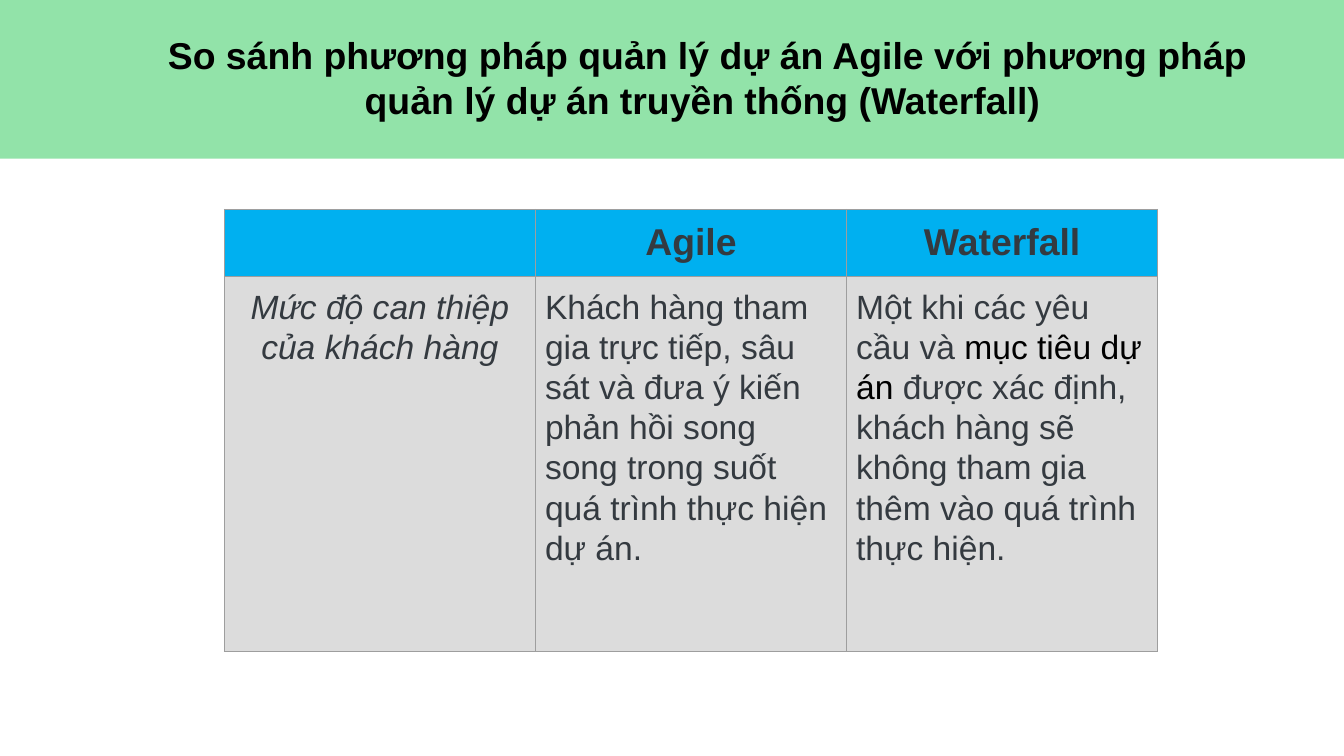
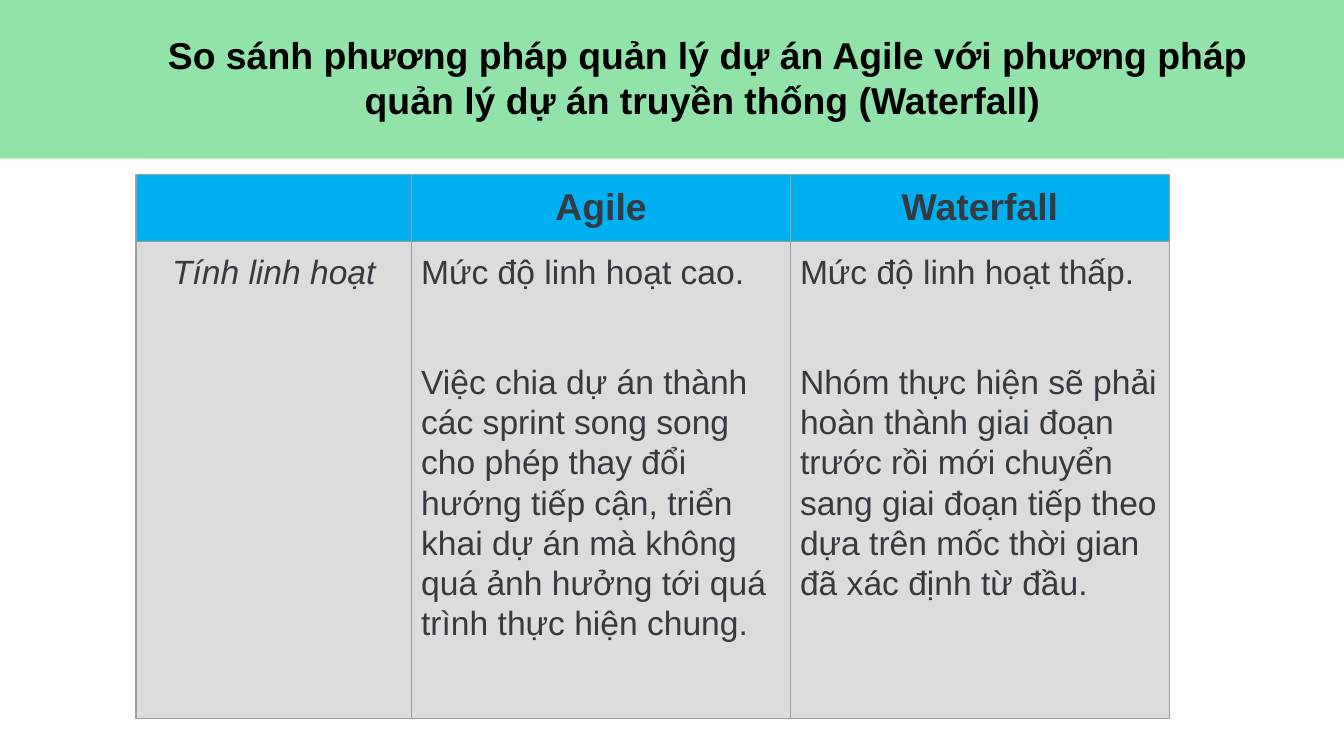
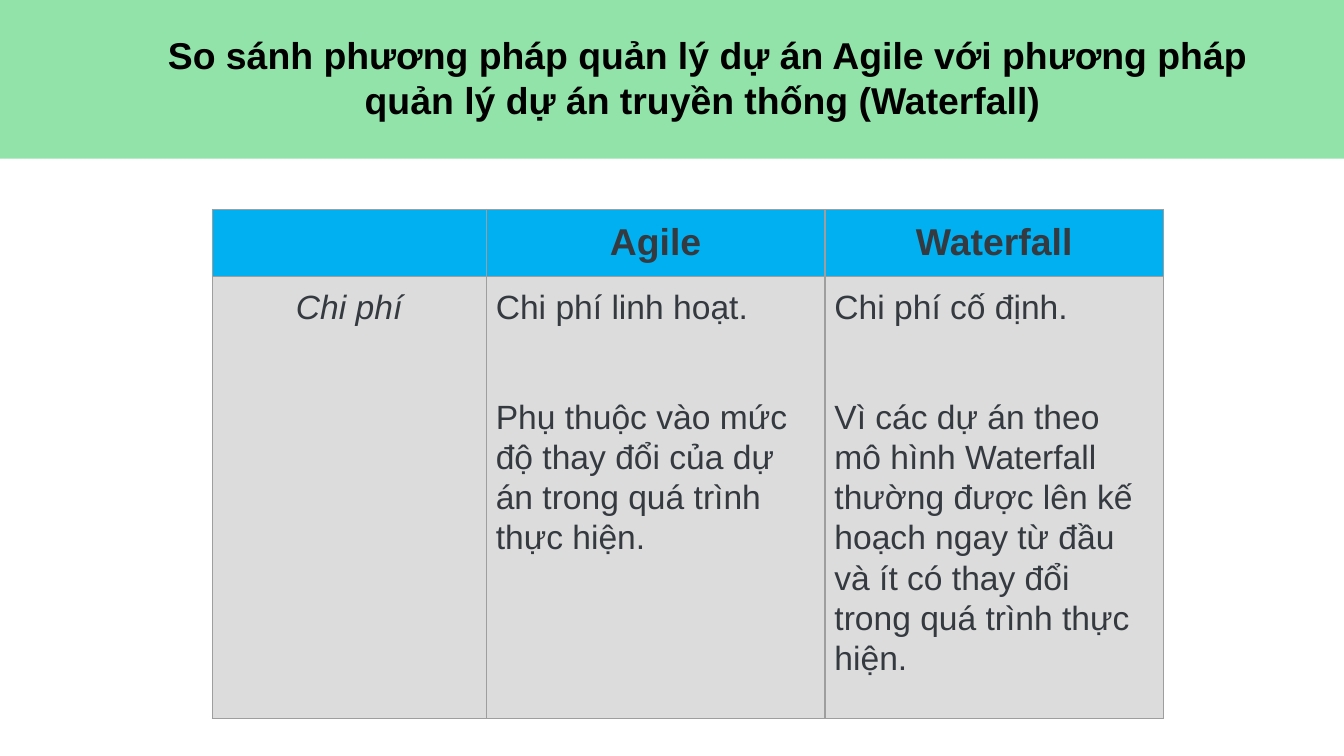
import itertools

import pptx
import pptx.dml.color
import pptx.enum.shapes
import pptx.enum.text
import pptx.oxml
import pptx.oxml.ns
import pptx.util

Cm = pptx.util.Cm
Pt = pptx.util.Pt
RGBColor = pptx.dml.color.RGBColor
PP_ALIGN = pptx.enum.text.PP_ALIGN

GREEN = RGBColor(0x92, 0xE3, 0xA9)
BLUE = RGBColor(0x00, 0xB0, 0xF0)
LIGHT_GREY = RGBColor(0xDC, 0xDC, 0xDC)
BORDER_GREY = RGBColor(0x9E, 0x9E, 0x9E)
SLATE = RGBColor(0x34, 0x3A, 0x40)
BLACK = RGBColor(0x00, 0x00, 0x00)

FONT = "Arial"
TITLE = (
    "So sánh phương pháp quản lý dự án Agile với phương pháp "
    "quản lý dự án truyền thống (Waterfall) "
)
HEADINGS = ("", "Agile", "Waterfall")
HEADER_HEIGHT = Cm(1.19)
CELL_MARGIN = Cm(0.18)

# Each answer is a list of paragraphs, and each paragraph a list of runs;
# every second run is set in black.
COMPARISONS = [
    {
        "left": 4.24, "top": 3.96, "columns": (5.88, 5.88, 5.88), "body_height": 7.09,
        "criterion": "Mức độ can thiệp của khách hàng",
        "agile": [[
            "Khách hàng tham gia trực tiếp, sâu sát và đưa ý kiến phản hồi "
            "song song trong suốt quá trình thực hiện dự án."
        ]],
        "waterfall": [[
            "Một khi các yêu cầu và ",
            "mục tiêu dự án ",
            "được xác định, khách hàng sẽ không tham gia thêm vào quá trình thực hiện.",
        ]],
    },
    {
        "left": 2.57, "top": 3.3, "columns": (5.21, 7.16, 7.16), "body_height": 9.02,
        "criterion": "Tính linh hoạt",
        "agile": [
            ["Mức độ linh hoạt cao."],
            ["Việc chia dự án thành các sprint song song cho phép thay đổi hướng "
             "tiếp cận, triển khai dự án mà không quá ảnh hưởng tới quá trình "
             "thực hiện chung."],
        ],
        "waterfall": [
            ["Mức độ linh hoạt thấp."],
            ["Nhóm thực hiện sẽ phải hoàn thành giai đoạn trước rồi mới chuyển sang "
             "giai đoạn tiếp theo dựa trên mốc thời gian đã xác định từ đầu."],
        ],
    },
    {
        "left": 4.01, "top": 3.96, "columns": (5.18, 6.4, 6.4), "body_height": 8.36,
        "criterion": "Chi phí",
        "agile": [
            ["Chi phí linh hoạt."],
            ["Phụ thuộc vào mức độ thay đổi của dự án trong quá trình thực hiện."],
        ],
        "waterfall": [
            ["Chi phí cố định."],
            ["Vì các dự án theo mô hình Waterfall thường được lên kế hoạch ngay từ "
             "đầu và ít có thay đổi trong quá trình thực hiện."],
        ],
    },
]


def add_span(para, text, size, color, bold=False, italic=False):
    span = para.add_run()
    span.text = text
    span.font.name = FONT
    span.font.size = Pt(size)
    span.font.bold = bold
    span.font.italic = italic
    span.font.color.rgb = color


def style_cell(cell, color):
    """Set the margins, the four borders and the fill of a table cell."""
    cell.margin_left = cell.margin_right = CELL_MARGIN
    cell.margin_top = cell.margin_bottom = CELL_MARGIN
    properties = cell._tc.get_or_add_tcPr()
    for side in ("lnL", "lnR", "lnT", "lnB"):
        properties.append(pptx.oxml.parse_xml(
            f'<a:{side} {pptx.oxml.ns.nsdecls("a")} w="{Pt(0.75)}">'
            f'<a:solidFill><a:srgbClr val="{BORDER_GREY}"/></a:solidFill></a:{side}>'
        ))
    cell.fill.solid()
    cell.fill.fore_color.rgb = color


deck = pptx.Presentation()
deck.slide_width = Cm(25.4)
deck.slide_height = Cm(14.29)

# Shared layout: title position and green band
layout = deck.slide_layouts.get_by_name("Title Only")
for holder in list(layout.placeholders):
    if holder.placeholder_format.idx == 0:
        holder.left, holder.top = Cm(2.24), Cm(0.48)
        holder.width, holder.height = Cm(22.28), Cm(2.82)
    else:
        layout.shapes.element.remove(holder.element)

pages = [deck.slides.add_slide(layout) for _ in COMPARISONS]

band = pages[0].shapes.add_shape(
    pptx.enum.shapes.MSO_SHAPE.RECTANGLE, 0, 0, deck.slide_width, Cm(3)
)
band.shadow.inherit = False
band.fill.solid()
band.fill.fore_color.rgb = GREEN
band.line.fill.background()
band.element.nvSpPr.cNvPr.set("id", "20")
layout.shapes.element.insert(2, band.element)

for page, comparison in zip(pages, COMPARISONS):
    frame = page.shapes.title.text_frame
    frame.word_wrap = True
    frame.auto_size = pptx.enum.text.MSO_AUTO_SIZE.SHAPE_TO_FIT_TEXT
    frame.vertical_anchor = pptx.enum.text.MSO_ANCHOR.TOP
    para = frame.paragraphs[0]
    para.alignment = PP_ALIGN.CENTER
    add_span(para, TITLE, 20, BLACK, bold=True)

    widths = [Cm(width) for width in comparison["columns"]]
    body_height = Cm(comparison["body_height"])
    table = page.shapes.add_table(
        2, 3, Cm(comparison["left"]), Cm(comparison["top"]),
        sum(widths), HEADER_HEIGHT + body_height,
    ).table
    table.horz_banding = False
    table.rows[0].height = HEADER_HEIGHT
    table.rows[1].height = body_height
    for column, width in zip(table.columns, widths):
        column.width = width

    answers = ([[comparison["criterion"]]], comparison["agile"], comparison["waterfall"])
    for index, (heading, answer) in enumerate(zip(HEADINGS, answers)):
        header_cell, body_cell = table.cell(0, index), table.cell(1, index)
        style_cell(header_cell, BLUE)
        style_cell(body_cell, LIGHT_GREY)

        if heading:
            para = header_cell.text_frame.paragraphs[0]
            para.alignment = PP_ALIGN.CENTER
            para.line_spacing = 1.07
            para.space_after = Pt(8)
            add_span(para, heading, 20, SLATE, bold=True)

        is_criterion = index == 0
        for number, texts in enumerate(answer):
            if number == 0:
                para = body_cell.text_frame.paragraphs[0]
            else:
                para = body_cell.text_frame.add_paragraph()
                para.space_before = Pt(29.5)
            para.alignment = PP_ALIGN.CENTER if is_criterion else PP_ALIGN.LEFT
            para.line_spacing = 1.07
            para.space_after = Pt(8)
            for text, color in zip(texts, itertools.cycle((SLATE, BLACK))):
                add_span(para, text, 18, color, italic=is_criterion)

deck.save("out.pptx")
